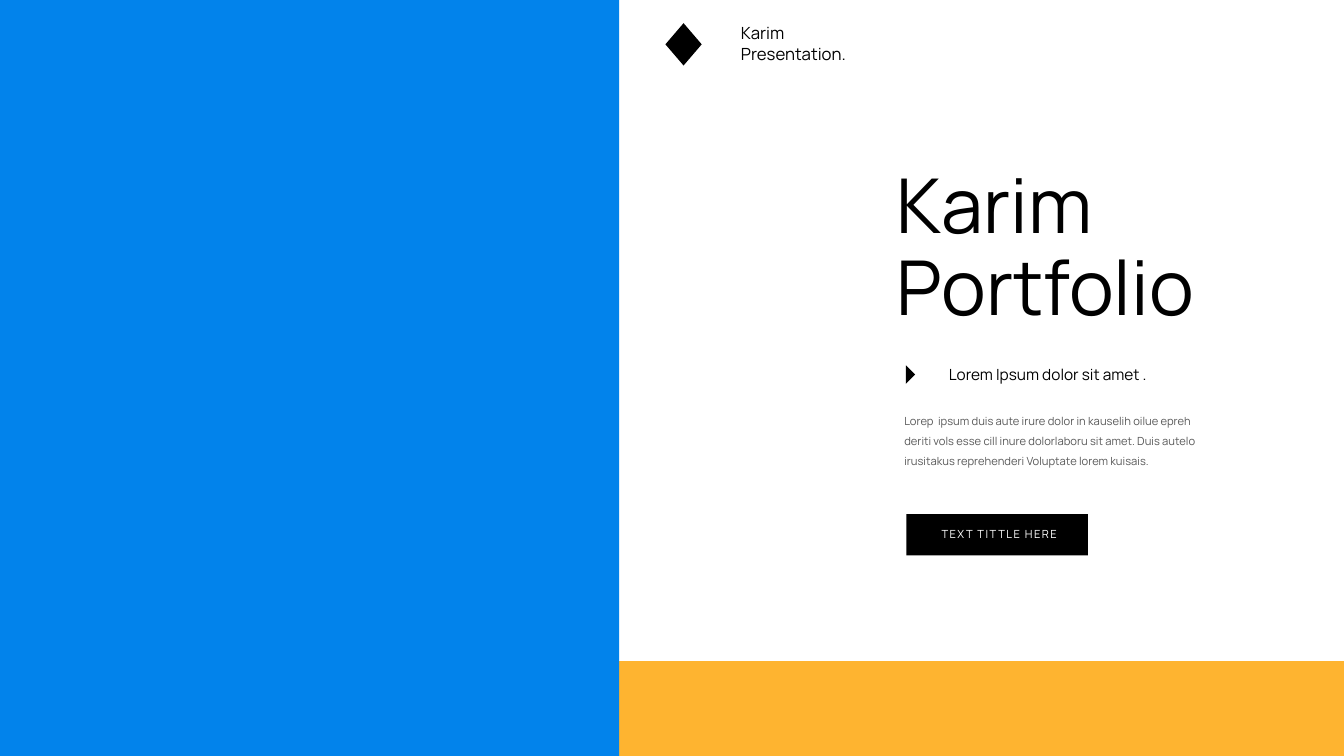
from pptx import Presentation
from pptx.dml.color import RGBColor
from pptx.enum.shapes import MSO_SHAPE as Shape
from pptx.enum.text import MSO_ANCHOR as Anchor, MSO_AUTO_SIZE as AutoSize, PP_ALIGN as Align
from pptx.util import Inches, Pt

WIDTH, HEIGHT = 13.33, 7.5
SPLIT, FOOT = 6.14, 6.56
BLACK, WHITE, GREY = "000000", "FFFFFF", "595959"
BLUE, AMBER = "0283EB", "FEB430"


def color(code):
    return RGBColor.from_string(code)


def place(item, box):
    for name, value in zip(("left", "top", "width", "height"), box):
        setattr(item, name, Inches(value))


def add_block(page, kind, box, fill, rotation=0):
    block = page.shapes.add_shape(kind, *map(Inches, box))
    block.shadow.inherit = False
    block.fill.solid()
    block.fill.fore_color.rgb = color(fill)
    block.line.fill.background()
    block.rotation = rotation


def write(holder, lines, size, ink=BLACK, leading=1.0, wrap=True, tracking=None):
    frame = holder.text_frame
    frame.text = "\n".join(lines)
    frame_format = {"word_wrap": wrap, "auto_size": AutoSize.NONE, "vertical_anchor": Anchor.TOP}
    for name, value in frame_format.items():
        setattr(frame, name, value)
    para_format = {"alignment": Align.LEFT, "line_spacing": leading, "space_before": Pt(0)}
    font_format = {"name": "Manrope", "size": Pt(size)}
    for para in frame.paragraphs:
        for name, value in para_format.items():
            setattr(para, name, value)
        for span in para.runs:
            for name, value in font_format.items():
                setattr(span.font, name, value)
            span.font.color.rgb = color(ink)
            if tracking:
                span._r.get_or_add_rPr().set("spc", str(tracking))


def add_text(page, box, lines, size, **options):
    write(page.shapes.add_textbox(*map(Inches, box)), lines, size, **options)


def add_panels(page):
    add_block(page, Shape.RECTANGLE, (SPLIT, FOOT, WIDTH - SPLIT, HEIGHT - FOOT), AMBER)
    add_block(page, Shape.RECTANGLE, (0, 0, SPLIT, HEIGHT), BLUE)


def add_header(page, left, top):
    add_block(page, Shape.DIAMOND, (left, top + 0.05, 0.36, 0.42), BLACK)
    add_text(page, (left + 0.65, top, 1.31, 0.5), ["Karim", "Presentation."], 12, wrap=False)


def add_intro(page, left, top):
    title, subtitle = page.placeholders
    place(title, (left, top, 3.4, 1.74))
    write(title, ["Karim", "Portfolio"], 54, leading=0.9, wrap=False)

    add_block(page, Shape.RIGHT_TRIANGLE, (left + 0.13, top + 2.03, 0.13, 0.13), BLACK, 225)
    place(subtitle, (left + 0.52, top + 1.95, 2.5, 0.29))
    write(subtitle, ["Lorem Ipsum dolor sit amet ."], 11)

    add_text(page, (left + 0.08, top + 2.37, 3.45, 0.69), [
        "Lorep  ipsum duis aute irure dolor in kauselih oilue epreh",
        "deriti vols esse cill inure dolorlaboru sit amet. Duis autelo "
        "irusitakus reprehenderi Voluptate lorem kuisais.",
    ], 8, ink=GREY, leading=1.5)


def add_button(page, left, top):
    add_block(page, Shape.RECTANGLE, (left, top, 1.8, 0.41), BLACK)
    add_text(page, (left + 0.25, top + 0.08, 1.45, 0.24), ["TEXT TITTLE HERE"], 8,
             ink=WHITE, tracking=100)


def main():
    deck = Presentation()
    deck.slide_width, deck.slide_height = Inches(WIDTH), Inches(HEIGHT)
    page = deck.slides.add_slide(deck.slide_layouts[0])
    add_panels(page)
    add_header(page, 6.6, 0.18)
    add_intro(page, 8.79, 1.62)
    add_button(page, 8.99, 5.1)
    deck.save("out.pptx")


if __name__ == "__main__":
    main()
